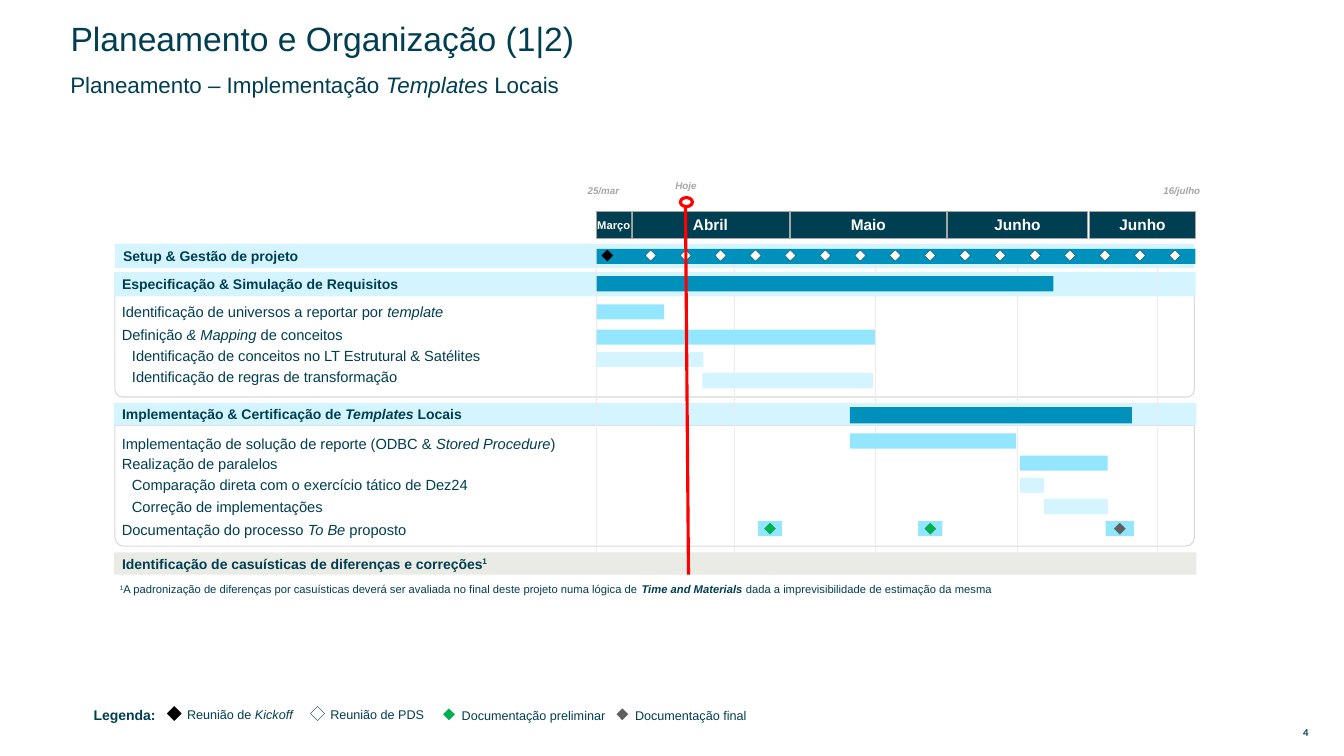
from typing import NamedTuple, Optional

from lxml.etree import SubElement
from pptx import Presentation
from pptx.dml.color import RGBColor
from pptx.enum.shapes import MSO_CONNECTOR, MSO_SHAPE as Shape
from pptx.enum.text import MSO_ANCHOR as Anchor, MSO_AUTO_SIZE, PP_ALIGN as Align
from pptx.oxml.ns import qn
from pptx.util import Pt

COLORS = {
    "navy": "003E51", "blue": "0090BC", "sky": "94E6FF", "pale": "D4F5FF",
    "sand": "EBEBE6", "grid": "EBEBEB", "frame": "D9D9D9", "gray": "A6A6A6",
    "dark": "5F5F5F", "green": "00B050", "red": "FF0000",
    "black": "000000", "white": "FFFFFF",
}
CHART_LEFT, BAR_HEIGHT, MARKER = 426.2, 10.8, 7.9


class Run(NamedTuple):
    text: str
    style: str = ""


class Box(NamedTuple):
    left: float
    top: float
    width: float
    height: float


class Band(NamedTuple):
    box: Box
    color: str
    runs: list


class Task(NamedTuple):
    top: float
    height: float
    runs: list
    inset: float = 7.2


class Bar(NamedTuple):
    left: float
    top: float
    width: float
    color: str
    height: float = BAR_HEIGHT


class Month(NamedTuple):
    label: str
    left: float
    width: float
    size: float = 11


class Document(NamedTuple):
    left: float
    width: float
    color: str


class LegendEntry(NamedTuple):
    x: float
    y: float
    size: float
    color: str
    edge: str
    runs: list


BANDS = [
    Band(Box(82.1, 174.2, 771.1, 17.3), "pale", [Run("Setup & Gestão de projeto")]),
    Band(Box(81.4, 194.4, 772.6, 17.3), "pale", [Run("Especificação & Simulação de Requisitos")]),
    Band(Box(81.4, 288, 773.3, 15.8), "pale",
         [Run("Implementação & Certificação de "), Run("Templates ", "i"), Run("Locais")]),
    Band(Box(81.4, 394.6, 773.3, 15.8), "sand",
         [Run("Identificação de casuísticas de diferenças e correções"), Run("1", "s")]),
]
FRAMES = [Box(82.1, 210.2, 771.1, 73.4), Box(82.1, 303.8, 771.1, 86.4)]
TASKS = [
    Task(213.8, 17.3, [Run("Identificação de universos a reportar por "), Run("template", "i")]),
    Task(231.1, 15.8, [Run("Definição"), Run(" & Mapping", "i"), Run(" de conceitos")]),
    Task(247, 14.4, [Run("Identificação de conceitos no LT Estrutural & Satélites")], 14.4),
    Task(261.4, 15.8, [Run("Identificação de regras de transformação")], 14.4),
    Task(307.4, 19.4, [Run("Implementação de solução de reporte (ODBC & "),
                       Run("Stored Procedure", "i"), Run(")")]),
    Task(323.3, 15.8, [Run("Realização de paralelos")]),
    Task(339.1, 14.4, [Run("Comparação direta com o exercício tático de Dez24")], 14.4),
    Task(354.2, 15.8, [Run("Correção de implementações")], 14.4),
    Task(370.8, 14.4, [Run("Documentação do processo "), Run("To Be", "i"), Run(" proposto")]),
]
GRID_LINES = [CHART_LEFT, 524.2, 625, 726.5, 826.6]
BARS = [
    Bar(CHART_LEFT, 177.8, 427.7, "blue"),
    Bar(CHART_LEFT, 197.3, 326.2, "blue"),
    Bar(CHART_LEFT, 217.4, 48.2, "sky"),
    Bar(CHART_LEFT, 235.4, 198.7, "sky"),
    Bar(CHART_LEFT, 251.3, 76.3, "pale"),
    Bar(501.8, 266.4, 121.7, "pale"),
    Bar(607, 290.9, 201.6, "blue", 11.5),
    Bar(607, 309.6, 118.8, "sky"),
    Bar(728.6, 325.4, 62.6, "sky"),
    Bar(728.6, 341.3, 17.3, "pale"),
    Bar(745.9, 356.4, 45.4, "pale"),
]
DOCUMENTS = [Document(541.4, 17.3, "green"), Document(655.9, 17.3, "green"),
             Document(789.8, 20.2, "dark")]
MONTHS = [Month("Março", CHART_LEFT, 24.5, 8), Month("Abril", 451.4, 112.3),
          Month("Maio", 564.5, 111.6), Month("Junho", 676.8, 100.1),
          Month("Junho", 778.3, 75.6)]
DATES = [("25/mar", 405.4, 128.2), ("16/julho", 818.6, 128.2), ("Hoje", 464.4, 124.6)]
LEGEND = [
    LegendEntry(124.5, 509.7, 10.1, "black", "black", [Run("Reunião de "), Run("Kickoff", "i")]),
    LegendEntry(226.8, 509.7, 10.1, "white", "navy", [Run("Reunião de PDS")]),
    LegendEntry(320.7, 510.2, MARKER, "green", "green", [Run("Documentação preliminar")]),
    LegendEntry(444.5, 510.2, MARKER, "dark", "dark", [Run("Documentação final")]),
]


def rgb(color: str) -> RGBColor:
    return RGBColor.from_string(COLORS[color])


def write(target, runs: list, *, size: float, color: str = "navy", font: str = "Arial",
          bold: bool = False, align=Align.LEFT, anchor=Anchor.MIDDLE,
          insets: tuple = (7.2, 3.6, 7.2, 3.6), spacing: float = 1.0, wrap: bool = False) -> None:
    frame = target.text_frame
    frame.auto_size = MSO_AUTO_SIZE.NONE
    frame.word_wrap = wrap
    frame.vertical_anchor = anchor
    frame.margin_left, frame.margin_top, frame.margin_right, frame.margin_bottom = map(Pt, insets)
    paragraph = frame.paragraphs[0]
    paragraph.alignment = align
    paragraph.line_spacing = spacing
    paragraph.space_before = Pt(0)
    for part in runs:
        run = paragraph.add_run()
        run.text = part.text
        run.font.name, run.font.size = font, Pt(size)
        run.font.bold = bold or "b" in part.style
        run.font.italic = "i" in part.style
        run.font.color.rgb = rgb(color)
        if "s" in part.style:
            run._r.get_or_add_rPr().set("baseline", "30000")


def add_label(slide, box: Box, runs: list, **style) -> None:
    write(slide.shapes.add_textbox(*map(Pt, box)), runs, **style)


def draw(slide, kind, box: Box, fill: Optional[str] = None,
         edge: Optional[str] = None, weight: float = 0.25):
    shape = slide.shapes.add_shape(kind, *map(Pt, box))
    shape.shadow.inherit = False
    if fill:
        shape.fill.solid()
        shape.fill.fore_color.rgb = rgb(fill)
    else:
        shape.fill.background()
    if edge:
        shape.line.color.rgb = rgb(edge)
        shape.line.width = Pt(weight)
    else:
        shape.line.fill.background()
    return shape


def draw_marker(slide, x: float, y: float, fill: str, edge: str, size: float = MARKER) -> None:
    draw(slide, Shape.DIAMOND, Box(x - size / 2, y - size / 2, size, size), fill, edge)


def draw_line(slide, start: tuple, end: tuple, color: str, weight: float) -> None:
    line = slide.shapes.add_connector(MSO_CONNECTOR.STRAIGHT, *map(Pt, start + end))
    line.line.color.rgb = rgb(color)
    line.line.width = Pt(weight)
    SubElement(line._element.spPr, qn("a:effectLst"))


def draw_headings(slide) -> None:
    title = slide.shapes.title
    title.left, title.top, title.width, title.height = map(Pt, (43.2, 19.4, 572.4, 18.7))
    write(title, [Run("Planeamento e Organização (1|2)")], size=24, spacing=0.9)
    add_label(slide, Box(43.2, 52.6, 551.5, 18.7),
              [Run("Planeamento – Implementação "), Run("Templates", "i"), Run(" Locais")],
              size=16, spacing=0.9)
    add_label(slide, Box(916.6, 517.7, 32.4, 11.5), [Run("4")], size=6.8, font="Lato",
              bold=True, align=Align.CENTER, insets=(4.3, 2.2, 4.3, 2.2))


def draw_schedule(slide) -> None:
    for box in FRAMES:
        frame = draw(slide, Shape.ROUND_2_SAME_RECTANGLE, box, edge="frame", weight=0.75)
        frame.adjustments[0], frame.adjustments[1] = 0, 0.073
    for band in BANDS:
        write(draw(slide, Shape.RECTANGLE, band.box, band.color), band.runs,
              size=10, bold=True, insets=(5.8, 0, 5.8, 0))
    for task in TASKS:
        add_label(slide, Box(79.9, task.top, 355.7, task.height), task.runs,
                  size=10.5, insets=(task.inset, 3.6, 7.2, 3.6))
    for x in GRID_LINES:
        draw_line(slide, (x, 174.2), (x, 409.7), "grid", 0.25)
    for bar in BARS:
        draw(slide, Shape.RECTANGLE, Box(bar.left, bar.top, bar.width, bar.height), bar.color)
    draw_marker(slide, 433.8, 182.5, "black", "black")
    for week in range(16):
        draw_marker(slide, 464.75 + 24.96 * week, 182.5, "white", "navy")
    for document in DOCUMENTS:
        draw(slide, Shape.RECTANGLE, Box(document.left, 372.2, document.width, BAR_HEIGHT), "sky")
        draw_marker(slide, document.left + document.width / 2, 377.6,
                    document.color, document.color)
    for month in MONTHS:
        header = draw(slide, Shape.RECTANGLE, Box(month.left, 151.2, month.width, 18.7),
                      "navy", "gray")
        write(header, [Run(month.label)], size=month.size, color="white", bold=True,
              align=Align.CENTER, insets=(0, 3.6, 0, 3.6))
    draw_line(slide, (489.6, 144), (491.8, 410.4), "red", 2.25)
    draw(slide, Shape.OVAL, Box(486, 141.1, 8.6, 6.5), "white", "red", 2.25)
    for date, left, top in DATES:
        add_label(slide, Box(left, top, 51.1, 15.8), [Run(date, "i")], size=7, color="gray",
                  bold=True, align=Align.CENTER, anchor=Anchor.TOP, insets=(0, 3.6, 0, 3.6))


def draw_notes(slide) -> None:
    add_label(slide, Box(78.5, 411.8, 778.3, 17.3), [
        Run("1", "s"),
        Run("A padronização de diferenças por casuísticas deverá ser avaliada no final "
            "deste projeto numa lógica de "),
        Run("Time and Materials ", "bi"),
        Run("dada a imprevisibilidade de estimação da mesma"),
    ], size=8, anchor=Anchor.TOP, spacing=1.1, wrap=True)
    add_label(slide, Box(59.8, 499.7, 59.8, 20.9), [Run("Legenda:")], size=10, bold=True,
              anchor=Anchor.TOP, spacing=1.1)
    for entry in LEGEND:
        draw_marker(slide, entry.x, entry.y, entry.color, entry.edge, entry.size)
        add_label(slide, Box(entry.x + 2, entry.y - 9.2, 121.7, 19.4), entry.runs,
                  size=9, anchor=Anchor.TOP, spacing=1.1)


def main() -> None:
    deck = Presentation()
    deck.slide_width, deck.slide_height = Pt(960), Pt(540)
    slide = deck.slides.add_slide(deck.slide_layouts[5])
    draw_headings(slide)
    draw_schedule(slide)
    draw_notes(slide)
    deck.save("out.pptx")


if __name__ == "__main__":
    main()
